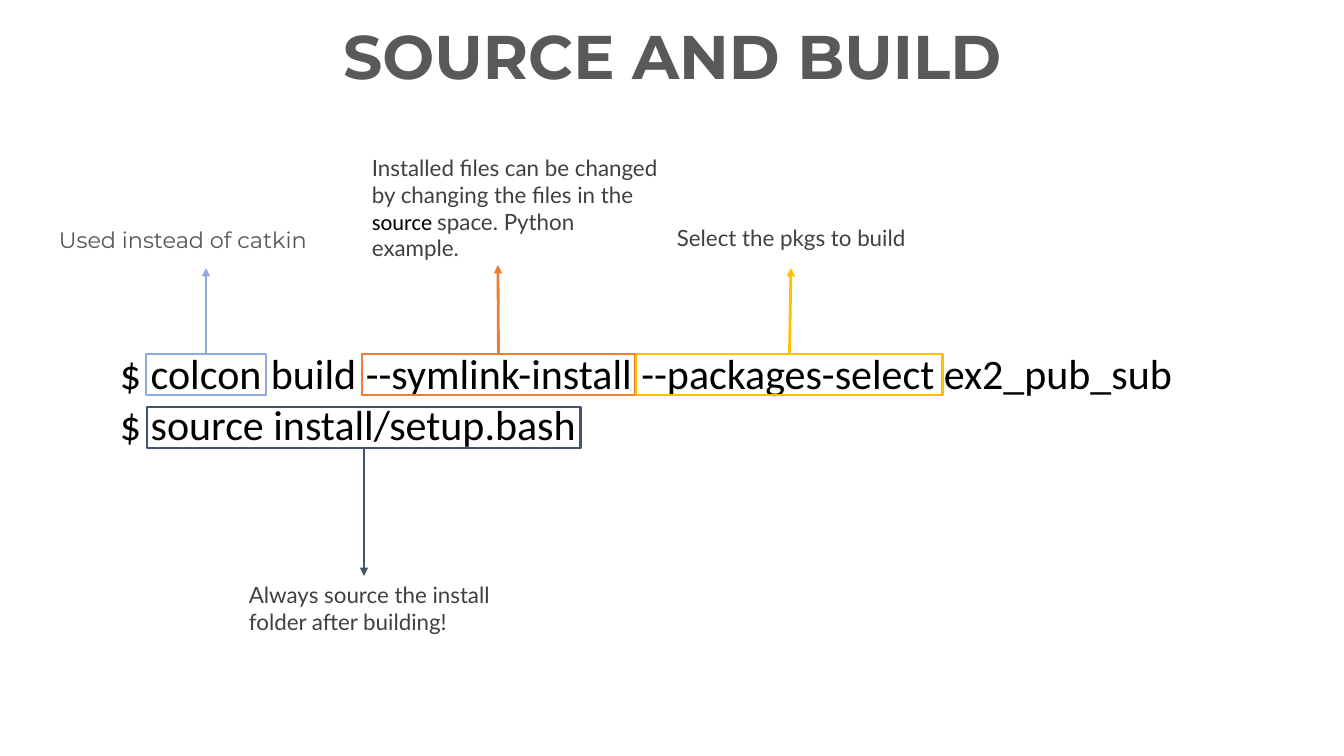
"""Builds the slide on sourcing and building a workspace with colcon."""
from pptx import Presentation
from pptx import util as u
from pptx.dml.color import RGBColor
from pptx.enum import shapes, text
from pptx.oxml.ns import qn
from lxml import etree

PX = 12192000 / 1344

BLACK = RGBColor(0x00, 0x00, 0x00)
TITLE_GREY = RGBColor(0x59, 0x59, 0x59)
NOTE_GREY = RGBColor(0x55, 0x55, 0x55)
DARK_GREY = RGBColor(0x40, 0x40, 0x40)
BLUE = RGBColor(0x8F, 0xAA, 0xDC)
ORANGE = RGBColor(0xED, 0x7D, 0x31)
YELLOW = RGBColor(0xFF, 0xC0, 0x00)
SLATE = RGBColor(0x44, 0x54, 0x6A)


def px(*lengths):
    """Turn pixel lengths into EMU."""
    return [u.Emu(round(length * PX)) for length in lengths]


def style(font, name, color):
    """Set the typeface and colour of a font."""
    font.name = name
    font.color.rgb = color


def add_text(slide, box, lines, size, name, color):
    """Add a wrapping text box with one paragraph per line and return its paragraphs."""
    frame = slide.shapes.add_textbox(*px(*box)).text_frame
    frame.word_wrap = True
    frame.auto_size = text.MSO_AUTO_SIZE.SHAPE_TO_FIT_TEXT
    frame.text = "\n".join(lines)
    for paragraph in frame.paragraphs:
        paragraph.font.size = u.Pt(size)
        style(paragraph.font, name, color)
    return frame.paragraphs


def add_title(slide, wording):
    """Add the centred bold heading."""
    heading = add_text(slide, (192, 21, 961, 87), [wording], 44, "Montserrat", TITLE_GREY)[0]
    heading.font.bold = True
    heading.alignment = text.PP_ALIGN.CENTER
    heading.line_spacing = 0.9
    heading.space_before = u.Pt(10)


def add_highlight(slide, box, color):
    """Frame one part of the command."""
    frame = slide.shapes.add_shape(shapes.MSO_SHAPE.RECTANGLE, *px(*box))
    frame.shadow.inherit = False
    frame.fill.background()
    frame.line.color.rgb = color
    frame.line.width = u.Pt(2)
    return frame


def add_arrow(slide, highlight, side, tip, color):
    """Draw an arrow from the middle of a highlight's side to its note."""
    arrow = slide.shapes.add_connector(shapes.MSO_CONNECTOR.STRAIGHT, 0, 0, *px(*tip))
    arrow.begin_connect(highlight, side)
    arrow.line.color.rgb = color
    arrow.line.width = u.Pt(2)
    etree.SubElement(arrow.line._get_or_add_ln(), qn("a:tailEnd"), type="triangle")
    etree.SubElement(arrow._element.spPr, qn("a:effectLst"))


def main():
    """Build and save the slide."""
    deck = Presentation()
    deck.slide_width, deck.slide_height = px(1344, 756)
    slide = deck.slides.add_slide(deck.slide_layouts[6])

    add_title(slide, "SOURCE AND BUILD")
    commands = [
        "$ colcon build --symlink-install --packages-select ex2_pub_sub",
        "$ source install/setup.bash",
    ]
    add_text(slide, (110, 343, 1114, 112), commands, 30, "Calibri", BLACK)

    callouts = [
        ((146, 354, 120, 41), 0, (206, 268), BLUE),
        ((362, 354, 273, 41), 0, (498, 265), ORANGE),
        ((636, 354, 307, 41), 0, (791, 268), YELLOW),
        ((147, 407, 434, 41), 2, (364, 576), SLATE),
    ]
    for box, side, tip, color in callouts:
        add_arrow(slide, add_highlight(slide, box, color), side, tip, color)

    notes = [
        ((49, 221, 311, 37), "Used instead of catkin", "Montserrat", NOTE_GREY),
        ((667, 219, 311, 37), "Select the pkgs to build", "Lato", DARK_GREY),
        ((239, 576, 311, 65), "Always source the install folder after building!", "Lato", DARK_GREY),
    ]
    for box, wording, name, color in notes:
        add_text(slide, box, [wording], 16, name, color)

    symlink_note = add_text(slide, (362, 149, 311, 119), [""], 16, "Lato", DARK_GREY)[0]
    symlink_runs = [
        ("Installed files can be changed by changing the files in the ", "Lato", DARK_GREY),
        ("source ", "Calibri", BLACK),
        ("space. Python example.", "Lato", DARK_GREY),
    ]
    for wording, name, color in symlink_runs:
        run = symlink_note.add_run()
        run.text = wording
        style(run.font, name, color)

    deck.save("out.pptx")


if __name__ == "__main__":
    main()
